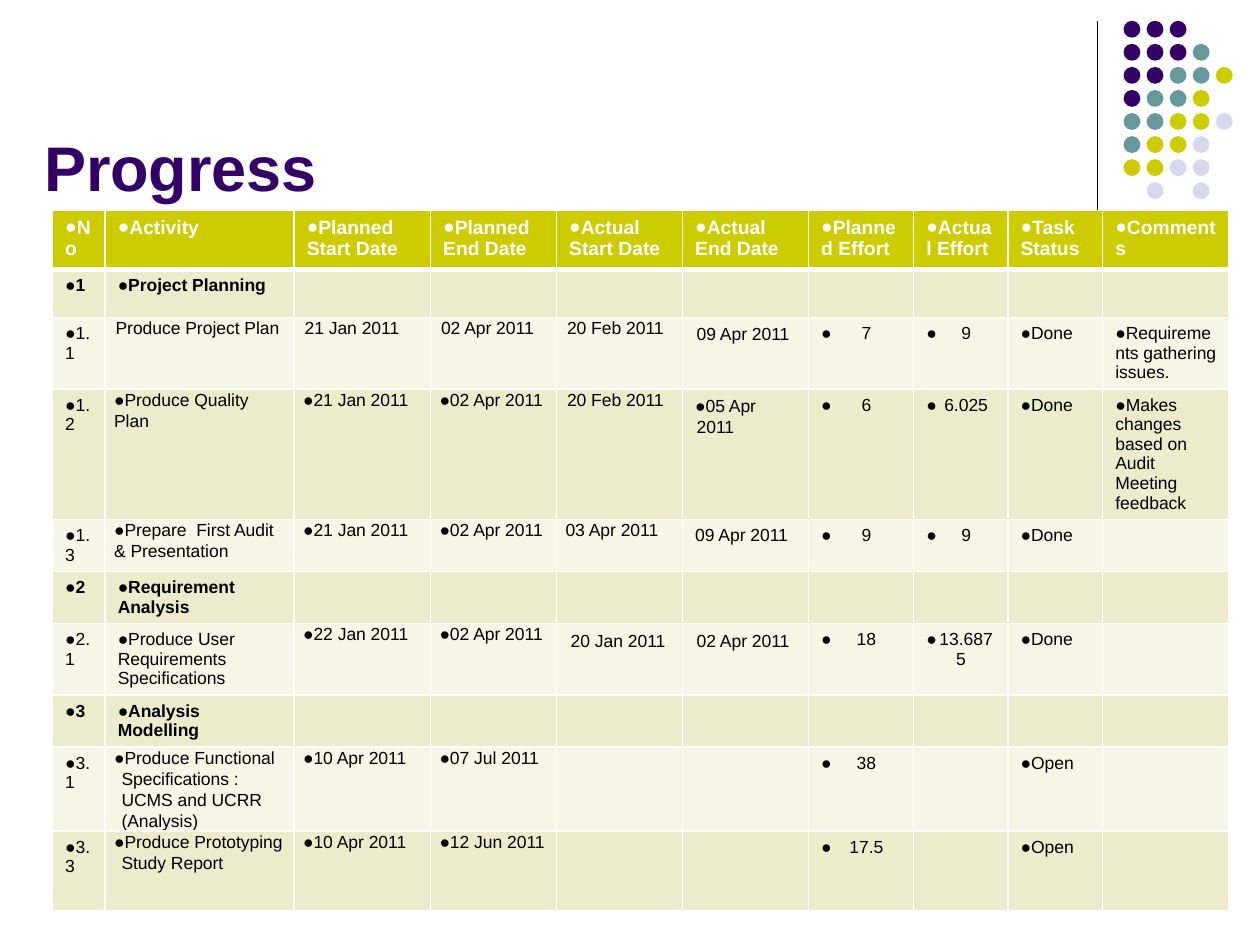
"""Build the project progress slide with its schedule table and dot ornament."""
import dataclasses

import lxml.etree
import pptx
import pptx.dml.color
import pptx.enum.shapes
import pptx.enum.text
import pptx.oxml.ns
import pptx.util

Cm = pptx.util.Cm
Pt = pptx.util.Pt
qn = pptx.oxml.ns.qn


@dataclasses.dataclass(frozen=True)
class Theme:
    font: str = "Arial"
    purple: str = "330066"
    teal: str = "669999"
    olive: str = "CCCC00"
    lilac: str = "D8D8EC"
    white: str = "FFFFFF"
    black: str = "000000"
    band_dark: str = "ECECCC"
    band_light: str = "F6F6E7"
    title_size: int = 36
    header_size: int = 11
    body_size: int = 10


THEME = Theme()
CENTER = pptx.enum.text.PP_ALIGN.CENTER
HANGING = Cm(0.95)
ITEM = {"line_spacing": Pt(11.2)}
LINE = {"line_spacing": Pt(12), "space_before": Pt(6)}
TIGHT = {"margin_left": Cm(0.18), "margin_right": Cm(0.18),
         "margin_top": 0, "margin_bottom": 0}

FORMATS = {
    "header": {"bullet": True},
    "item": {"para": ITEM, "bullet": True},
    "number": {"para": {**ITEM, "alignment": CENTER}, "bullet": True},
    "text": {},
    "line": {"para": LINE, "indent": 0.03},
    "line_item": {"para": LINE, "indent": 0.03, "bullet": True},
    "tight": {"para": LINE, "cell": TIGHT, "indent": 0.03},
    "tight_flush": {"para": LINE, "cell": TIGHT},
    "tight_item": {"para": LINE, "cell": TIGHT, "indent": 0.03, "bullet": True},
    "tight_flush_item": {"para": LINE, "cell": TIGHT, "bullet": True},
    "tight_hang": {"para": LINE, "cell": TIGHT, "indent": 0.15, "bullet": True},
}
COLUMN_FORMATS = ["item", "tight_hang", "tight_item", "tight_item", "tight",
                  "line", "number", "number", "item", "item"]
COLUMN_WIDTHS = [1.06, 3.81, 2.75, 2.54, 2.54, 2.54, 2.12, 1.9, 1.91, 2.54]
ROW_HEIGHTS = [1.19, 0.97, 1.43, 2.63, 1.05, 1.05, 1.43, 1.05, 1.69, 1.6]

HEADER = ["No", "Activity", "Planned Start Date", "Planned End Date",
          "Actual Start Date", "Actual End Date", "Planned Effort",
          "Actual Effort", "Task Status", "Comments"]
ROWS = [
    ["1", "Project Planning"],
    ["1.1", ("Produce Project Plan", "tight"), ("21 Jan 2011", "tight"),
     ("02 Apr 2011", "tight"), "20 Feb 2011", "09 Apr 2011", "7", "9", "Done",
     "Requirements gathering issues."],
    ["1.2", ("Produce Quality Plan", "tight_flush_item"), "21 Jan 2011",
     "02 Apr 2011", "20 Feb 2011", ("05 Apr 2011", "line_item"), "6", "6.025",
     "Done", "Makes changes based on Audit Meeting feedback"],
    ["1.3", ("Prepare  First Audit & Presentation", "tight_flush_item"),
     "21 Jan 2011", "02 Apr 2011", ("03 Apr 2011", "tight_flush"),
     ("09 Apr 2011", "text"), "9", "9", "Done"],
    ["2", "Requirement Analysis"],
    ["2.1", ("Produce User Requirements Specifications", "item"),
     "22 Jan 2011", "02 Apr 2011", ("20 Jan 2011", "line"), "02 Apr 2011",
     "18", "13.6875", "Done"],
    ["3", "Analysis Modelling"],
    ["3.1", "Produce Functional Specifications : UCMS and UCRR (Analysis)",
     "10 Apr 2011", "07 Jul 2011", "", "", "38", "", "Open"],
    ["3.3", "Produce Prototyping Study Report", "10 Apr 2011", "12 Jun 2011",
     "", "", "17.5", "", "Open"],
]

DOT_COLORS = {"P": THEME.purple, "T": THEME.teal, "O": THEME.olive, "L": THEME.lilac}
DOT_ROWS = ["PPP", "PPPT", "PPTTO", "PTTO", "TTOOL", "TOOL", "OOLL", " L L"]


def rgb(color):
    """Return the colour object of a hex value."""
    return pptx.dml.color.RGBColor.from_string(color)


def set_all(target, values):
    """Set each named attribute on the target."""
    for name, value in values.items():
        setattr(target, name, value)


def add_text(p, text, size, color, bold):
    """Add one styled run to a paragraph."""
    r = p.add_run()
    r.text = text
    set_all(r.font, {"name": THEME.font, "size": Pt(size), "bold": bold})
    r.font.color.rgb = rgb(color)


def add_bullet(p):
    """Give a paragraph a round bullet in the colour and size of its text."""
    pPr = p._p.get_or_add_pPr()
    pPr.set("indent", str(-HANGING))
    for tag, values in (("a:buClrTx", {}), ("a:buSzPct", {"val": "100000"}),
                        ("a:buFont", {"typeface": THEME.font}),
                        ("a:buChar", {"char": "●"})):
        lxml.etree.SubElement(pPr, qn(tag), values)


def add_borders(cell, bottom):
    """Draw white borders around a cell."""
    tcPr = cell._tc.get_or_add_tcPr()
    for side in "LRTB":
        width = Pt(bottom if side == "B" else 1)
        ln = lxml.etree.SubElement(tcPr, qn(f"a:ln{side}"), {"w": str(width)})
        fill = lxml.etree.SubElement(ln, qn("a:solidFill"))
        lxml.etree.SubElement(fill, qn("a:srgbClr"), {"val": THEME.white})


def fill_cell(cell, text, style, fill, size, color, bold, bottom=1):
    """Write and format one table cell."""
    add_borders(cell, bottom)
    cell.fill.solid()
    cell.fill.fore_color.rgb = rgb(fill)
    p = cell.text_frame.paragraphs[0]
    if not text:
        lxml.etree.SubElement(p._p, qn("a:endParaRPr"), {"sz": str(size * 100)})
        return
    layout = FORMATS[style]
    set_all(cell, layout.get("cell", {}))
    set_all(p, layout.get("para", {}))
    p._p.get_or_add_pPr().set("marL", str(Cm(layout.get("indent", 0))))
    if layout.get("bullet"):
        add_bullet(p)
    add_text(p, text, size, color, bold)


def add_schedule(s):
    """Add the schedule table."""
    frame = s.shapes.add_table(len(ROWS) + 1, len(HEADER), Cm(1.06), Cm(4.24),
                               Cm(sum(COLUMN_WIDTHS)), Cm(sum(ROW_HEIGHTS)))
    table = frame.table
    for column, width in zip(table.columns, COLUMN_WIDTHS):
        column.width = Cm(width)
    for row, height in zip(table.rows, ROW_HEIGHTS):
        row.height = Cm(height)
    for j, text in enumerate(HEADER):
        fill_cell(table.cell(0, j), text, "header", THEME.olive,
                  THEME.header_size, THEME.white, True, bottom=3)
    for i, row in enumerate(ROWS, 1):
        section = len(row) == 2
        fill = THEME.band_dark if i % 2 else THEME.band_light
        for j, style in enumerate(COLUMN_FORMATS):
            entry = row[j] if j < len(row) else ""
            default = "item" if section else style
            text, kind = entry if isinstance(entry, tuple) else (entry, default)
            fill_cell(table.cell(i, j), text, kind, fill,
                      THEME.body_size, THEME.black, section)


def add_title(s, text):
    """Add the slide title."""
    tf = s.shapes.add_textbox(Cm(0.64), Cm(0.64), Cm(21.38), Cm(3.6)).text_frame
    set_all(tf, {"word_wrap": True,
                 "vertical_anchor": pptx.enum.text.MSO_ANCHOR.BOTTOM})
    add_text(tf.paragraphs[0], text, THEME.title_size, THEME.purple, True)


def add_rule(s):
    """Add the vertical line beside the dots."""
    line = s.shapes.add_connector(pptx.enum.shapes.MSO_CONNECTOR.STRAIGHT,
                                  Cm(22.12), Cm(0.42), Cm(22.12), Cm(4.65))
    line.line.color.rgb = rgb(THEME.black)
    line.line.width = Pt(0.75)
    lxml.etree.SubElement(line._element.spPr, qn("a:effectLst"))


def add_dots(s):
    """Add the grid of coloured dots."""
    group = s.shapes.add_group_shape()
    pitch, size = 0.465, Cm(0.34)
    for i, row in enumerate(DOT_ROWS):
        for j, key in enumerate(row):
            if key in DOT_COLORS:
                sp = group.shapes.add_shape(
                    pptx.enum.shapes.MSO_SHAPE.OVAL, Cm(22.65 + j * pitch),
                    Cm(0.42 + i * pitch), size, size)
                sp.shadow.inherit = False
                sp.fill.solid()
                sp.fill.fore_color.rgb = rgb(DOT_COLORS[key])
                sp.line.fill.background()


def main():
    """Build and save the slide."""
    prs = pptx.Presentation()
    set_all(prs, {"slide_width": Cm(25.4), "slide_height": Cm(19.05)})
    s = prs.slides.add_slide(prs.slide_layouts[6])
    add_rule(s)
    add_dots(s)
    add_title(s, "Progress")
    add_schedule(s)
    prs.save("out.pptx")


main()
